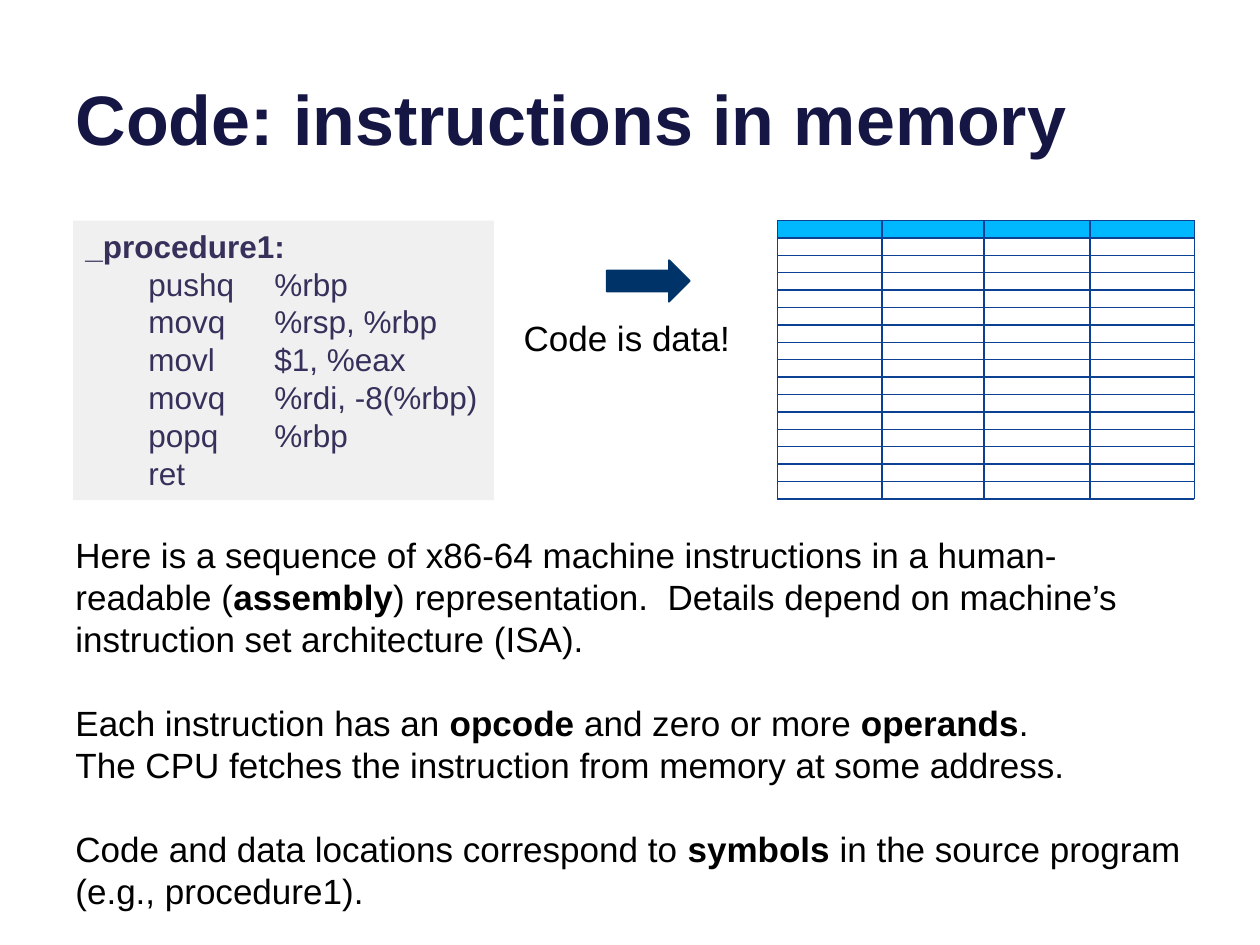
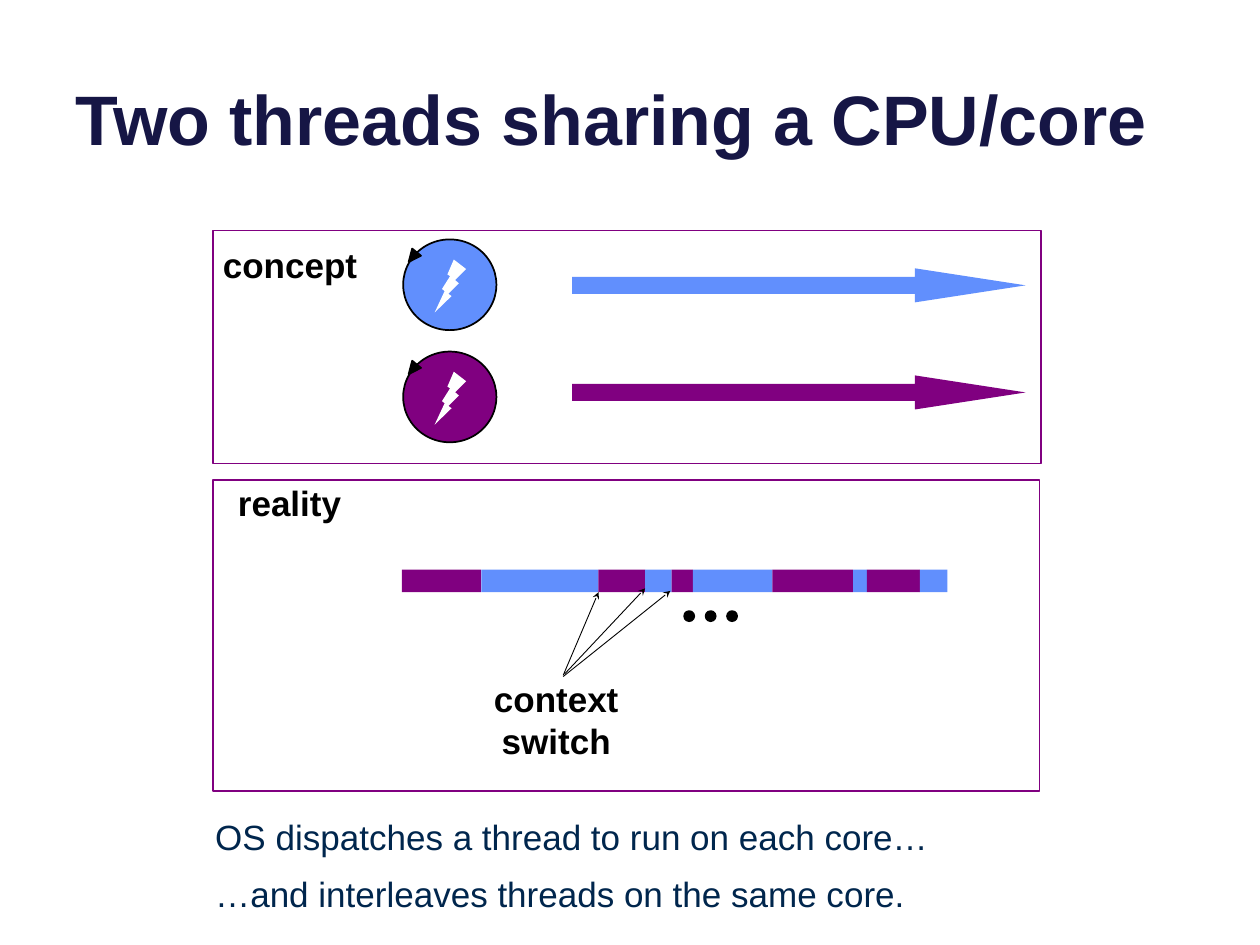
from lxml import etree
from pptx import Presentation
from pptx.dml.color import RGBColor
from pptx.enum.shapes import MSO_CONNECTOR as LINK, MSO_SHAPE as SHAPE
from pptx.enum.text import MSO_ANCHOR as ANCHOR, MSO_AUTO_SIZE as FIT, PP_ALIGN as ALIGN
from pptx.oxml.ns import qn
from pptx.util import Inches, Pt

# Content: bold words stand between asterisks
CODE_TITLE = "Code: instructions in memory"
LISTING = [
    "*_procedure1:*",
    "\tpushq\t%rbp",
    "\tmovq\t%rsp, %rbp",
    "\tmovl\t$1, %eax",
    "\tmovq\t%rdi, -8(%rbp)",
    "\tpopq\t%rbp",
    "\tret",
]
CODE_IS_DATA = "Code is data!"
EXPLANATION = [  # text, space before in points
    ("Here is a sequence of x86-64 machine instructions in a human-readable (*assembly*) "
     "representation.  Details depend on machine’s instruction set architecture (ISA).", 0),
    ("Each instruction has an *opcode* and zero or more *operands*.", 24),
    ("The CPU fetches the instruction from memory at some address.", 0),
    ("Code and data locations correspond to *symbols* in the source program "
     "(e.g., procedure1).", 24),
]
THREADS_TITLE = "Two threads sharing a CPU/core"
DISPATCH = [
    ("OS dispatches a thread to run on each core…", 0),
    ("…and interleaves threads on the same core.", 9),
]

# Shared look
FONT = "Arial"
TITLE_INK, CODE_INK, DISPATCH_INK, BLACK, WHITE = "161645", "37305A", "00264D", "000000", "FFFFFF"
NAVY, GRID_BLUE, HEADER_BLUE, PANEL_GREY = "003367", "0C4093", "00B8FF", "F0F0F0"
THREAD_BLUE, THREAD_PURPLE = "618FFD", "800080"

# Memory grid
GRID_TOP, GRID_HEIGHT, GRID_ROWS = 1.75, 2.21, 16
GRID_EDGES = [6.17, 7, 7.81, 8.65, 9.48]

# Thread rows: colour, circle top, arrow top
THREADS = [(THREAD_BLUE, 1.9, 2.13), (THREAD_PURPLE, 2.79, 2.98)]
# Times at which the core changes hands, starting with the purple thread
TURNS = [3.19, 3.82, 4.75, 5.12, 5.33, 5.5, 6.13, 6.77, 6.88, 7.3, 7.52]
BAR_TOP, BAR_HEIGHT = 4.52, 0.18
# Pointers from the context switch label to the turns it explains
SWITCHES = [((4.47, 5.36), (4.75, 4.7)), ((4.48, 5.35), (5.12, 4.67)),
            ((4.47, 5.37), (5.32, 4.69))]


def color(code):
    return RGBColor.from_string(code)


def write(frame, paragraphs, size=20, ink=BLACK, bold=False, align=ALIGN.LEFT, tabs=()):
    """Fill a frame with strings or (string, space before) pairs."""
    frame.word_wrap = True
    for index, entry in enumerate(paragraphs):
        text, gap = entry if isinstance(entry, tuple) else (entry, 0)
        paragraph = frame.paragraphs[0] if index == 0 else frame.add_paragraph()
        paragraph.alignment = align
        if gap:
            paragraph.space_before = Pt(gap)
        if tabs:
            stops = etree.SubElement(paragraph._p.get_or_add_pPr(), qn("a:tabLst"))
            for stop in tabs:
                etree.SubElement(stops, qn("a:tab"), pos=str(Inches(stop)), algn="l")
        for part, words in enumerate(text.split("*")):
            if words:
                run = paragraph.add_run()
                run.text = words
                run.font.name, run.font.size = FONT, Pt(size)
                run.font.bold = bold or part % 2 == 1
                run.font.color.rgb = color(ink)


def add_label(slide, box, paragraphs, anchor=ANCHOR.TOP, **style):
    frame = slide.shapes.add_textbox(*map(Inches, box)).text_frame
    frame.vertical_anchor = anchor
    write(frame, paragraphs, **style)


def add_block(slide, kind, box, fill, line=None, width=1):
    block = slide.shapes.add_shape(kind, *map(Inches, box))
    block.shadow.inherit = False
    block.fill.solid()
    block.fill.fore_color.rgb = color(fill)
    if line:
        block.line.color.rgb = color(line)
        block.line.width = Pt(width)
    else:
        block.line.fill.background()
    return block


def add_line(slide, start, end, ink, width, head=None):
    link = slide.shapes.add_connector(LINK.STRAIGHT, *map(Inches, (*start, *end)))
    link.line.color.rgb = color(ink)
    link.line.width = Pt(width)
    if head:
        etree.SubElement(link.line._get_or_add_ln(), qn("a:tailEnd"),
                         type=head, w="sm", len="sm")
    etree.SubElement(link._element.spPr, qn("a:effectLst"))


def add_titled_slide(deck, heading):
    slide = deck.slides.add_slide(deck.slide_layouts[5])
    title = slide.shapes.title
    title.left, title.top, title.width, title.height = map(Inches, (0.5, -0.37, 9, 1.69))
    title.text_frame.auto_size = FIT.NONE
    title.text_frame.vertical_anchor = ANCHOR.BOTTOM
    write(title.text_frame, [heading], size=40, ink=TITLE_INK, bold=True)
    return slide


def add_memory_grid(slide):
    row = GRID_HEIGHT / GRID_ROWS
    left, right, bottom = GRID_EDGES[0], GRID_EDGES[-1], GRID_TOP + GRID_HEIGHT
    add_block(slide, SHAPE.RECTANGLE, (left, GRID_TOP, right - left, row),
              HEADER_BLUE, NAVY, 0.75)
    # Each memory column is ruled on its own, then closed by its left edge
    for x, next_x in zip(GRID_EDGES, GRID_EDGES[1:]):
        for index in range(GRID_ROWS + 1):
            y = GRID_TOP + index * row
            add_line(slide, (x, y), (next_x, y), GRID_BLUE, 0.75)
        add_line(slide, (x, bottom), (x, GRID_TOP), GRID_BLUE, 0.75)
    add_line(slide, (right, bottom), (right, GRID_TOP), GRID_BLUE, 0.75)


def build_code_slide(deck):
    slide = add_titled_slide(deck, CODE_TITLE)
    listing = add_block(slide, SHAPE.RECTANGLE, (0.58, 1.75, 3.34, 2.22), PANEL_GREY)
    listing.text_frame.vertical_anchor = ANCHOR.TOP
    write(listing.text_frame, LISTING, size=18, ink=CODE_INK, tabs=(0.5, 1.5))
    add_memory_grid(slide)
    add_label(slide, (0.5, 4.17, 8.98, 3.13), EXPLANATION, ANCHOR.MIDDLE)
    to_memory = add_block(slide, SHAPE.DOWN_ARROW, (4.98, 1.9, 0.33, 0.66), NAVY, NAVY)
    to_memory.rotation = 270
    add_label(slide, (4, 2.46, 1.95, 0.44), [CODE_IS_DATA], ANCHOR.MIDDLE, align=ALIGN.CENTER)


def add_thread(slide, fill, top, arrow_top):
    """Circle with bolt and loop arrowhead, then the thread's own timeline."""
    add_block(slide, SHAPE.OVAL, (3.2, top, 0.74, 0.72), fill, BLACK)
    bolt = add_block(slide, SHAPE.LIGHTNING_BOLT, (3.45, top + 0.16, 0.25, 0.42), WHITE)
    bolt._element.spPr.xfrm.set("flipH", "1")
    loop_head = add_block(slide, SHAPE.ISOSCELES_TRIANGLE, (3.23, top + 0.09, 0.09, 0.1),
                          BLACK, BLACK)
    loop_head.rotation = 219
    timeline = add_block(slide, SHAPE.RIGHT_ARROW, (4.54, arrow_top, 3.6, 0.27), fill)
    timeline.adjustments[1] = 3.25


def build_threads_slide(deck):
    slide = add_titled_slide(deck, THREADS_TITLE)

    # Reality: one core, alternating turns
    add_block(slide, SHAPE.RECTANGLE, (1.69, 3.81, 6.56, 2.47), WHITE, THREAD_PURPLE)
    for index, (start, end) in enumerate(zip(TURNS, TURNS[1:])):
        add_block(slide, SHAPE.RECTANGLE, (start, BAR_TOP, end - start, BAR_HEIGHT),
                  (THREAD_PURPLE, THREAD_BLUE)[index % 2])
    add_label(slide, (1.79, 3.77, 1.04, 0.44), ["reality"], bold=True)

    # Concept: each thread has its own timeline
    add_block(slide, SHAPE.RECTANGLE, (1.69, 1.83, 6.57, 1.85), WHITE, THREAD_PURPLE)
    for thread in THREADS:
        add_thread(slide, *thread)
    add_label(slide, (1.67, 1.88, 1.28, 0.44), ["concept"], bold=True)

    # Context switches and continuation dots
    for label_end, turn_end in SWITCHES:
        add_line(slide, label_end, turn_end, BLACK, 0.5, "stealth")
    for dot in range(3):
        add_block(slide, SHAPE.OVAL, (5.43 + dot * 0.17, 4.85, 0.08, 0.08), BLACK, BLACK)
    add_label(slide, (3.58, 5.33, 1.67, 0.77), ["context switch"], bold=True, align=ALIGN.CENTER)
    add_label(slide, (1.61, 6.42, 8.39, 0.9), DISPATCH, ink=DISPATCH_INK)


def main():
    deck = Presentation()
    deck.slide_width, deck.slide_height = Inches(10), Inches(7.5)
    build_code_slide(deck)
    build_threads_slide(deck)
    deck.save("out.pptx")


if __name__ == "__main__":
    main()
